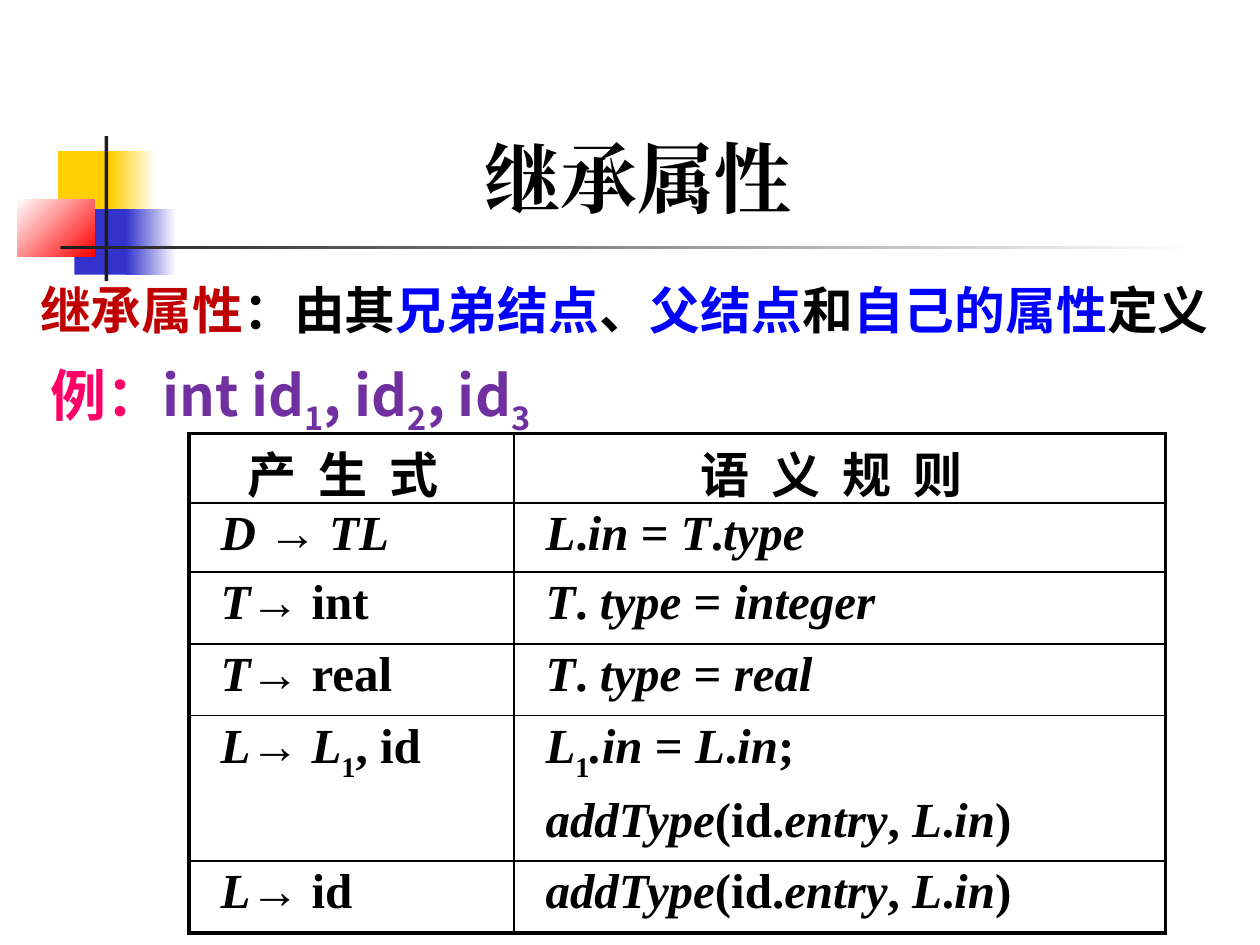
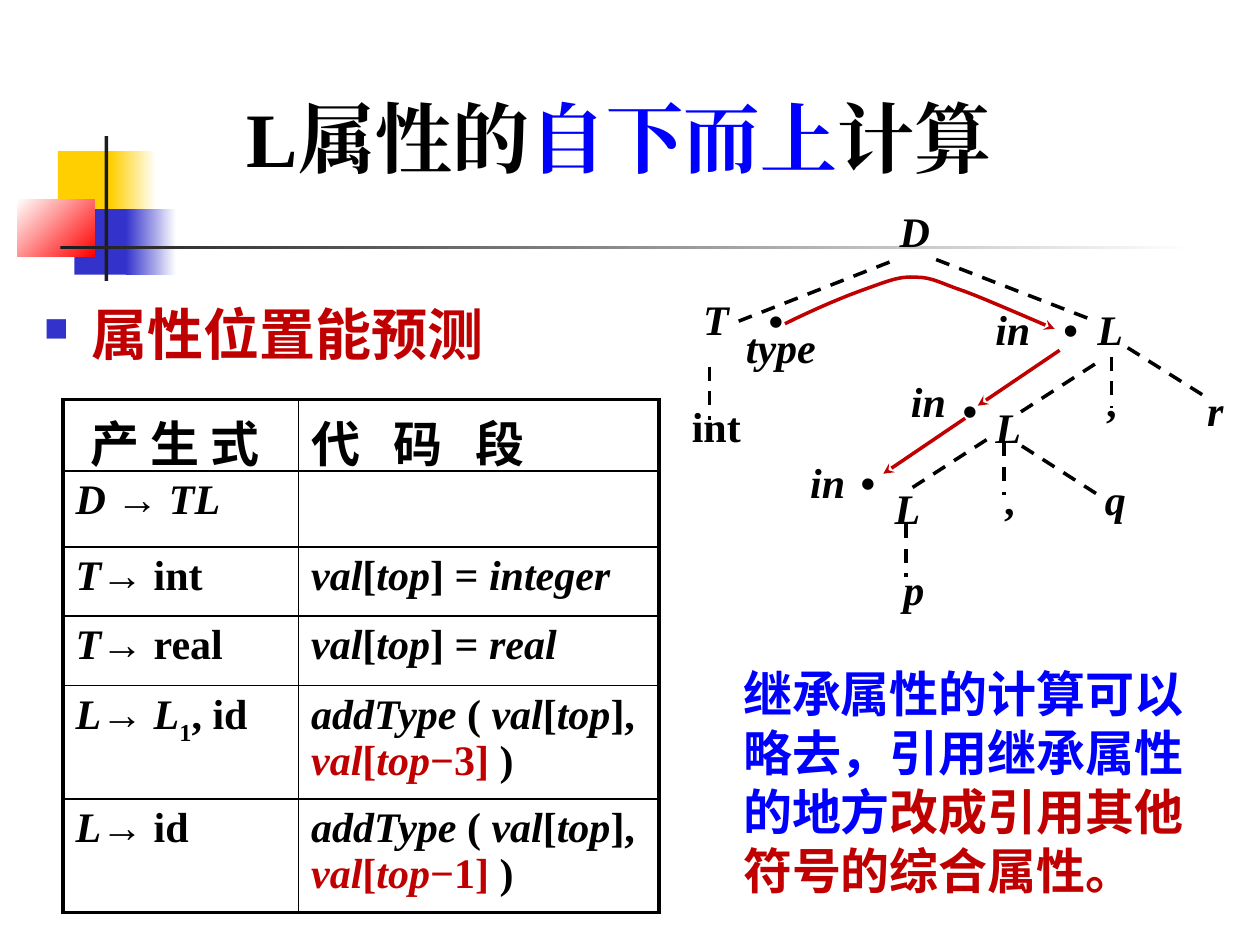
from lxml.etree import SubElement
from pptx import Presentation
from pptx.dml.color import RGBColor
from pptx.enum.dml import MSO_LINE
from pptx.enum.shapes import MSO_CONNECTOR, MSO_SHAPE
from pptx.enum.text import MSO_ANCHOR, PP_ALIGN
from pptx.oxml.ns import qn
from pptx.util import Inches, Pt

BLACK = RGBColor(0, 0, 0)
WHITE = RGBColor(255, 255, 255)
CHARCOAL = RGBColor(0x1C, 0x1C, 0x1C)
YELLOW = RGBColor(0xFF, 0xCF, 0x01)
INDIGO = RGBColor(0x33, 0x33, 0xCC)
BRIGHT_RED = RGBColor(255, 0, 0)
RED = RGBColor(0xC0, 0, 0)
BLUE = RGBColor(0, 0, 255)
PINK = RGBColor(255, 0, 0x66)
PURPLE = RGBColor(0x70, 0x30, 0xA0)
SERIF, SANS, HEAD = "Times New Roman", "Noto Sans CJK JP", "Noto Sans CJK SC"

DECORATIONS = [
    (0.46, 1.2, 0.48, 0.52, YELLOW, YELLOW, 0),
    (0.88, 1.2, 0.36, 0.52, YELLOW, WHITE, 0),
    (0.59, 1.66, 0.46, 0.52, INDIGO, INDIGO, 0),
    (1, 1.66, 0.4, 0.52, INDIGO, WHITE, 0),
    (0.14, 1.58, 0.61, 0.46, WHITE, BRIGHT_RED, 315),
    (0.83, 1.08, 0.03, 1.15, CHARCOAL, CHARCOAL, 0),
    (0.48, 1.95, 9, 0.03, CHARCOAL, WHITE, 0),
]

ADD_TYPE = "*addType*(id.*entry*, *L*.*in*) "
RULES = [
    ("*D *→ *TL*", "*L*.*in* = *T*.*type *"),
    ("*T*→ int ", "*T*.* type* = *integer *"),
    ("*T*→ real ", "*T*.* type* = *real *"),
    ("*L*→ *L*~1~, id ", "*L*~1~*.in* = *L*.*in*;\n" + ADD_TYPE),
    ("*L*→ id ", ADD_TYPE),
]


def stack_call(offset):
    """Return the coloured parts of an addType call on the value stack."""
    return [("*addType *( *val*[*top*], ", BLACK),
            (f"*val*[*top*−{offset}] ", RED), (") ", BLACK)]


CODE = [
    ("*D *→ *TL *", ""),
    ("*T*→ int ", "*val*[*top*] = *integer *"),
    ("*T*→ real ", "*val*[*top*] = *real *"),
    ("*L*→ *L*~1~, id ", stack_call(3)),
    ("*L*→ id ", stack_call(1)),
]

LABEL_WIDTHS = {"*in*": 0.4, "int": 0.45, "*type*": 0.65, "*q*": 0.4}
LABELS = [
    ("*D*", 1.65, 0), ("*T*", 0.09, 0.7), ("int", 0, 1.55),
    ("*L*", 3.22, 0.78), ("*L*", 2.41, 1.56), ("*L*", 1.61, 2.2),
    (",", 3.29, 1.35), (",", 2.48, 2.13),
    ("*r*", 4.09, 1.42), ("*q*", 3.28, 2.13), ("*p*", 1.68, 2.84),
    ("•", 0.61, 0.71), ("•", 2.95, 0.78), ("•", 2.15, 1.42), ("•", 1.34, 1.99),
    ("*type*", 0.43, 0.92),
    ("*in*", 2.41, 0.78), ("*in*", 1.74, 1.35), ("*in*", 0.94, 1.99),
]
BRANCHES = [
    (1.59, 0.46, 0.34, 0.95), (1.96, 0.44, 3.2, 0.92), (0.16, 1.29, 0.16, 1.71),
    (3.22, 1.27, 2.6, 1.67), (3.48, 1.14, 4.1, 1.53), (3.35, 1.21, 3.35, 1.62),
    (2.36, 1.87, 1.74, 2.27), (2.64, 1.92, 3.25, 2.31), (2.5, 1.89, 2.5, 2.31),
    (1.72, 2.54, 1.72, 2.96),
]
FLOWS = [(2.94, 1.16, 2.29, 1.6), (2.19, 1.7, 1.54, 2.14)]
FLOW_CURVE = [
    (0.76, 0.95), (1, 0.83), (1.24, 0.73), (1.41, 0.67), (1.58, 0.61),
    (1.67, 0.57), (1.8, 0.58), (1.93, 0.58), (2, 0.63), (2.18, 0.69),
    (2.37, 0.76), (2.75, 0.93), (2.9, 0.99),
]


def add_span(para, text, color, size, font, italic, lowered, tracking):
    """Add one bold run to a paragraph."""
    span = para.add_run()
    span.text = text
    span.font.name, span.font.size = font, Pt(size)
    span.font.bold, span.font.italic = True, italic
    span.font.color.rgb = color
    props = span._r.get_or_add_rPr()
    SubElement(props, qn("a:ea")).set("typeface", font)
    if lowered:
        props.set("baseline", str(-lowered * 1000))
    if tracking:
        props.set("spc", str(tracking))


def write(para, parts, size, font, lowering=30, tracking=0):
    """Write coloured parts, where * toggles italic and ~ toggles subscript."""
    for markup, color in parts:
        italic = False
        for index, phrase in enumerate(markup.split("*")):
            italic = index % 2 == 1
            for depth, text in enumerate(phrase.split("~")):
                if text:
                    add_span(para, text, color, size, font, italic,
                             lowering * (depth % 2), tracking)


def indent(para, left, first=0):
    """Set the left margin and first-line indent of a paragraph."""
    props = para._p.get_or_add_pPr()
    props.set("marL", str(Inches(left)))
    props.set("indent", str(Inches(first)))
    return props


def add_text(shapes, box, parts, size, font, inset=None, **options):
    """Place a wrapped text box and return its frame."""
    frame = shapes.add_textbox(*map(Inches, box)).text_frame
    frame.word_wrap = True
    if inset:
        frame.margin_left = frame.margin_right = Inches(inset[0])
        frame.margin_top = frame.margin_bottom = Inches(inset[1])
    write(frame.paragraphs[0], parts, size, font, **options)
    return frame


def add_title(page, box, parts):
    """Place a centred slide title at the bottom of its box."""
    frame = add_text(page.shapes, box, parts, 44, SERIF)
    frame.vertical_anchor = MSO_ANCHOR.BOTTOM
    frame.paragraphs[0].alignment = PP_ALIGN.CENTER


def add_decorations(page):
    """Draw the coloured squares and rules shared by all slides."""
    for left, top, width, height, start, end, angle in DECORATIONS:
        shape = page.shapes.add_shape(
            MSO_SHAPE.RECTANGLE, *map(Inches, (left, top, width, height)))
        shape.shadow.inherit = False
        shape.line.fill.background()
        if start == end:
            shape.fill.solid()
            shape.fill.fore_color.rgb = start
            continue
        shape.fill.gradient()
        shape.fill.gradient_angle = angle
        for stop, color, position in zip(shape.fill.gradient_stops, (start, end), (0, 1)):
            stop.color.rgb, stop.position = color, position


def set_borders(cell, outer_edges):
    """Draw black cell borders, thicker on the outer edges."""
    props = cell._tc.get_or_add_tcPr()
    for edge in "LRTB":
        line = SubElement(props, qn(f"a:ln{edge}"))
        line.set("w", str(Pt(2.25 if edge in outer_edges else 1)))
        fill = SubElement(line, qn("a:solidFill"))
        SubElement(fill, qn("a:srgbClr")).set("val", str(BLACK))
    cell.fill.background()


def fill_cell(cell, content, size, font, align, left, tracking=0):
    """Write each line of a cell as its own paragraph."""
    lines = content
    if isinstance(content, str):
        lines = [[(line, BLACK)] for line in content.split("\n")]
    else:
        lines = [content]
    frame = cell.text_frame
    for index, parts in enumerate(lines):
        para = frame.add_paragraph() if index else frame.paragraphs[0]
        para.alignment = align
        para.space_before = Pt(size * 0.2)
        if left:
            indent(para, left)
        write(para, parts, size, font, tracking=tracking)


def add_grammar_table(page, box, widths, heights, heads, rows, size, inset, left=0):
    """Place a two-column table of productions and their actions."""
    table = page.shapes.add_table(len(heights), 2, *map(Inches, box)).table
    table.first_row = table.horz_banding = False
    for column, width in zip(table.columns, widths):
        column.width = Inches(width)
    for row, height in zip(table.rows, heights):
        row.height = Inches(height)
    for r in range(len(heights)):
        for c in range(2):
            cell = table.cell(r, c)
            cell.margin_left = cell.margin_right = Inches(inset[0])
            cell.margin_top = cell.margin_bottom = Inches(inset[1])
            edges = "LR"[c] + ("T" if r == 0 else "B" if r == len(rows) else "")
            set_borders(cell, edges)
            if r == 0:
                text, align, tracking = heads[c]
                fill_cell(cell, text, 28, HEAD, align, 0, tracking)
            else:
                fill_cell(cell, rows[r - 1][c], size, SERIF, PP_ALIGN.LEFT, left)


def style_line(shape, color, arrow):
    """Give a line its colour and either a stealth head or dashes."""
    shape.line.color.rgb, shape.line.width = color, Pt(2)
    if arrow:
        line = shape._element.spPr.find(qn("a:ln"))
        SubElement(line, qn("a:tailEnd")).set("type", "stealth")
    else:
        shape.line.dash_style = MSO_LINE.DASH


def curve_points(knots, steps=8):
    """Sample a chain of cubic Bezier segments."""
    points = [knots[0]]
    for start in range(0, len(knots) - 1, 3):
        a, b, c, d = knots[start:start + 4]
        for step in range(1, steps + 1):
            t = step / steps
            u = 1 - t
            points.append(tuple(
                u ** 3 * a[i] + 3 * u * u * t * b[i] + 3 * u * t * t * c[i] + t ** 3 * d[i]
                for i in (0, 1)))
    return points


def add_parse_tree(page, left, top):
    """Draw the annotated parse tree with its attribute flow."""
    shapes = page.shapes.add_group_shape().shapes
    for text, x, y in LABELS:
        box = (left + x, top + y, LABEL_WIDTHS.get(text, 0.26), 0.53)
        frame = add_text(shapes, box, [(text, BLACK)], 24, SERIF, (0.02, 0.01))
        frame.paragraphs[0].alignment = PP_ALIGN.JUSTIFY
    for lines, color, arrow in ((BRANCHES, BLACK, False), (FLOWS, RED, True)):
        for x1, y1, x2, y2 in lines:
            line = shapes.add_connector(
                MSO_CONNECTOR.STRAIGHT, Inches(left + x1), Inches(top + y1),
                Inches(left + x2), Inches(top + y2))
            style_line(line, color, arrow)
            SubElement(line._element.spPr, qn("a:effectLst"))
    points = [(Inches(left + x), Inches(top + y)) for x, y in curve_points(FLOW_CURVE)]
    builder = shapes.build_freeform(*points[0])
    builder.add_line_segments(points[1:], close=False)
    curve = builder.convert_to_shape()
    curve.fill.background()
    style_line(curve, RED, True)
    curve.shadow.inherit = False


def add_bullet_heading(page, box, text):
    """Place a red heading with a square bullet."""
    frame = add_text(page.shapes, box, [(text, RED)], 32, SANS)
    frame.word_wrap = False
    para = frame.paragraphs[0]
    para.space_before = Pt(6.4)
    props = indent(para, 0.38, -0.38)
    color = SubElement(props, qn("a:buClr"))
    SubElement(color, qn("a:srgbClr")).set("val", str(INDIGO))
    SubElement(props, qn("a:buSzPct")).set("val", "60000")
    SubElement(props, qn("a:buChar")).set("char", "■")


def build_definition_page(page):
    """Build the slide that defines inherited attributes."""
    add_decorations(page)
    example = add_text(page.shapes, (-0.08, 2.81, 9.17, 0.71),
                       [("例：", PINK), ("int id~1~, id~2~, id~3~", PURPLE)],
                       32, SANS, lowering=25)
    indent(example.paragraphs[0], 0.38)
    heads = [("产 生 式 ", PP_ALIGN.CENTER, 310), ("语 义 规 则 ", PP_ALIGN.CENTER, 310)]
    add_grammar_table(page, (1.5, 3.44, 7.75, 3.96), (2.58, 5.17),
                      (0.55, 0.55, 0.57, 0.57, 1.14, 0.57), heads, RULES, 28,
                      (0.06, 0.03), left=0.19)
    add_title(page, (1.05, 0.32, 8.03, 1.5), [("继承属性", BLACK)])
    definition = add_text(
        page.shapes, (0.22, 2.16, 9.76, 0.78),
        [("继承属性", RED), ("：由其", BLACK), ("兄弟结点", BLUE), ("、", BLACK),
         ("父结点", BLUE), ("和", BLACK), ("自己的属性", BLUE), ("定义", BLACK)], 29, SANS)
    definition.paragraphs[0].space_before = Pt(5.8)
    indent(definition.paragraphs[0], 0.38, -0.38)


def build_evaluation_page(page):
    """Build the slide on bottom-up evaluation."""
    add_decorations(page)
    heads = [("产 生 式 ", PP_ALIGN.CENTER, 0), ("代 码 段 ", PP_ALIGN.LEFT, 630)]
    add_grammar_table(page, (0.5, 3.17, 4.73, 4.06), (1.87, 2.86),
                      (0.57, 0.6, 0.55, 0.55, 0.9, 0.9), heads, CODE, 24, (0.1, 0.05))
    add_bullet_heading(page, (0.25, 2.33, 3.72, 0.64), "属性位置能预测")
    remark = add_text(page.shapes, (5.8, 5.22, 3.9, 1.89),
                      [("继承属性的计算可以略去，引用继承属性的地方", BLUE),
                       ("改成引用其他符号的综合属性。", RED)], 28, SANS)
    remark.paragraphs[0].space_before = Pt(5.6)
    add_parse_tree(page, 5.47, 1.62)
    add_title(page, (0.33, 0.25, 9.17, 1.25),
              [("L属性的", BLACK), ("自下而上", BLUE), ("计算", BLACK)])


deck = Presentation()
deck.slide_width, deck.slide_height = Inches(10), Inches(7.5)
for build in (build_definition_page, build_evaluation_page):
    build(deck.slides.add_slide(deck.slide_layouts[6]))
deck.save("out.pptx")
